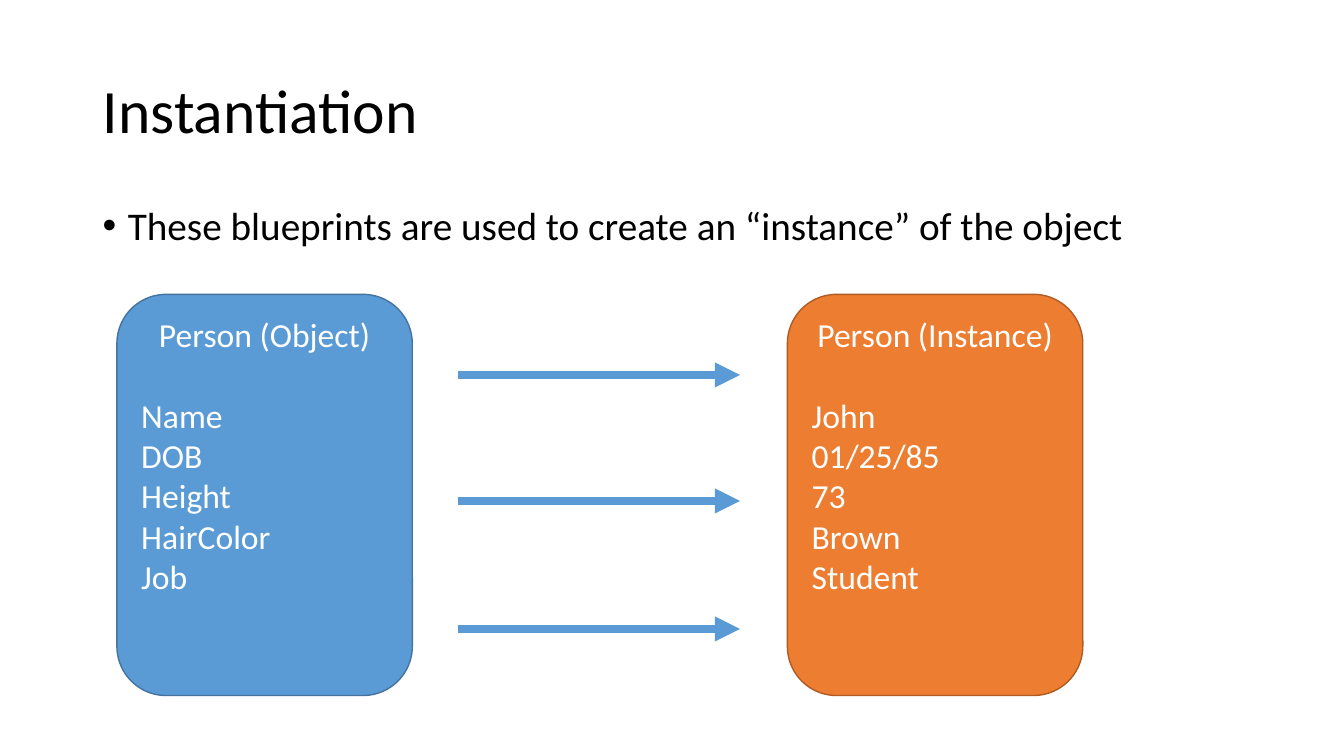
import pptx
import pptx.util
import pptx.dml.color
import pptx.enum.shapes
import pptx.enum.text
import pptx.oxml.ns
import lxml.etree

Inches, Pt = pptx.util.Inches, pptx.util.Pt
qn = pptx.oxml.ns.qn
align = pptx.enum.text.PP_ALIGN
anchor = pptx.enum.text.MSO_ANCHOR

COLORS = {
    "text": "000000", "white": "FFFFFF",
    "blue": "5B9BD5", "blue edge": "43739E",
    "orange": "ED7D31", "orange edge": "AF5C24",
}
MARGIN, CONTENT_WIDTH = 0.92, 11.5
CARD_TOP, CARD_WIDTH, CARD_HEIGHT = 2.92, 2.93, 3.98
CARD_LEFT, CARD_STEP = 1.16, 6.65
ARROW_LEFT, ARROW_LENGTH = 4.54, 2.8


def color(name):
    return pptx.dml.color.RGBColor.from_string(COLORS[name])


def style(para, size, color_name, alignment=align.LEFT):
    para.alignment = alignment
    para.font.name = "Calibri"
    para.font.size = Pt(size)
    para.font.color.rgb = color(color_name)


deck = pptx.Presentation()
deck.slide_width, deck.slide_height = Inches(13.33), Inches(7.5)
page = deck.slides.add_slide(deck.slide_layouts[5])

# Title
title = page.shapes.title
title.left, title.top = Inches(MARGIN), Inches(0.4)
title.width, title.height = Inches(CONTENT_WIDTH), Inches(1.45)
title.text_frame.text = "Instantiation"
title.text_frame.vertical_anchor = anchor.MIDDLE
para = title.text_frame.paragraphs[0]
style(para, 44, "text")
para.line_spacing = 0.9

# Bulleted statement
box = page.shapes.add_textbox(Inches(MARGIN), Inches(2), Inches(CONTENT_WIDTH), Inches(4.76))
box.text_frame.word_wrap = True
para = box.text_frame.paragraphs[0]
para.text = "These blueprints are used to create an “instance” of the object"
style(para, 28, "text")
para.line_spacing = 0.9
para.space_before = Pt(10)
properties = para._p.get_or_add_pPr()
properties.set("marL", str(Inches(0.25)))
properties.set("indent", str(-Inches(0.25)))
lxml.etree.SubElement(properties, qn("a:buFont"), typeface="Arial")
lxml.etree.SubElement(properties, qn("a:buChar"), char="•")

# Object and instance cards
cards = [
    ("blue", "Person (Object)", ["Name", "DOB", "Height", "HairColor", "Job"]),
    ("orange", "Person (Instance)", ["John", "01/25/85", "73", "Brown", "Student"]),
]
for column, (fill, heading, values) in enumerate(cards):
    card = page.shapes.add_shape(
        pptx.enum.shapes.MSO_SHAPE.ROUNDED_RECTANGLE,
        Inches(CARD_LEFT + column * CARD_STEP), Inches(CARD_TOP),
        Inches(CARD_WIDTH), Inches(CARD_HEIGHT))
    card.shadow.inherit = False
    card.fill.solid()
    card.fill.fore_color.rgb = color(fill)
    card.line.color.rgb = color(fill + " edge")
    card.line.width = Pt(1)
    frame = card.text_frame
    frame.word_wrap = True
    frame.vertical_anchor = anchor.TOP
    frame.text = "\n".join([heading] + values)
    for para in frame.paragraphs:
        style(para, 24, "white")
    frame.paragraphs[0].alignment = align.CENTER
    frame.paragraphs[0].space_after = Pt(29)

# Arrows from object to instance
for height in (3.72, 4.97, 6.24):
    arrow = page.shapes.add_connector(
        pptx.enum.shapes.MSO_CONNECTOR.STRAIGHT,
        Inches(ARROW_LEFT), Inches(height),
        Inches(ARROW_LEFT + ARROW_LENGTH), Inches(height))
    arrow.line.color.rgb = color("blue")
    arrow.line.width = Pt(6)
    lxml.etree.SubElement(arrow.line._get_or_add_ln(), qn("a:tailEnd"), type="triangle")
    lxml.etree.SubElement(arrow._element.spPr, qn("a:effectLst"))

deck.save("out.pptx")
